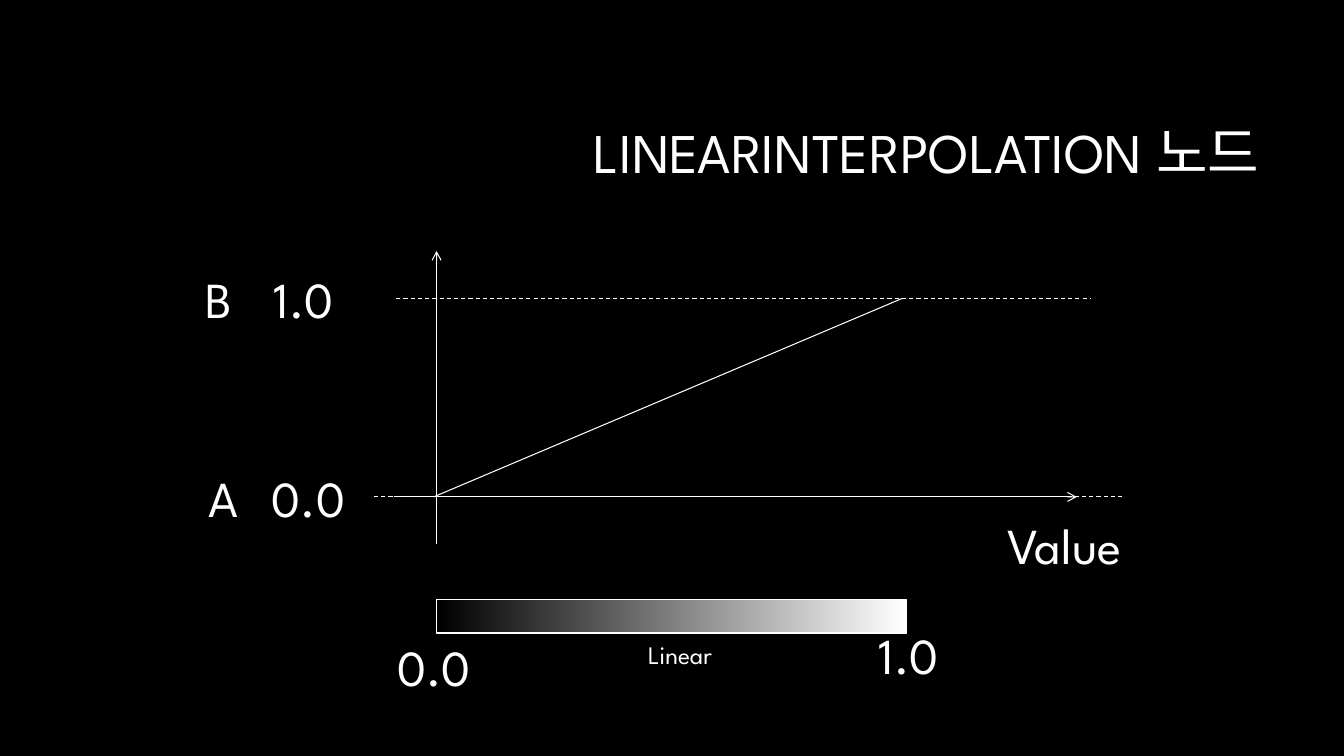
"""Build the slide that explains the linear interpolation node."""
from lxml.etree import SubElement
from pptx import Presentation
from pptx.dml.color import RGBColor
from pptx.enum.dml import MSO_LINE
from pptx.enum.shapes import MSO_CONNECTOR, MSO_SHAPE
from pptx.enum.text import MSO_ANCHOR, MSO_AUTO_SIZE, PP_ALIGN
from pptx.oxml.ns import qn
from pptx.util import Inches, Pt

WHITE, BLACK = "FFFFFF", "000000"
AXIS_X, ZERO_Y, ONE_Y = 4.33, 4.93, 2.96
ZERO_LABEL_Y, ONE_LABEL_Y = ZERO_Y - 0.35, ONE_Y - 0.35
LABEL_HEIGHT = 0.71


def color(value):
    return RGBColor.from_string(value)


def write(frame, text, size, align):
    frame.text = text
    para = frame.paragraphs[0]
    para.alignment = align
    para.font.name = "League Spartan"
    para.font.size = Pt(size)
    para.font.color.rgb = color(WHITE)
    return para


deck = Presentation()
deck.slide_width, deck.slide_height = Inches(13.33), Inches(7.5)
page = deck.slides.add_slide(deck.slide_layouts[5])
page.background.fill.solid()
page.background.fill.fore_color.rgb = color(BLACK)

title = page.shapes.title
title.left, title.top = Inches(3.17), Inches(0.84)
title.width, title.height = Inches(9.42), Inches(1.41)
title.text_frame.vertical_anchor = MSO_ANCHOR.MIDDLE
heading = write(title.text_frame, "LINEARINTERPOLATION 노드", 40, PP_ALIGN.RIGHT)
heading.line_spacing = 0.9

lines = [
    (3.91, ZERO_Y, 10.68, ZERO_Y, "arrow"),
    (AXIS_X, 5.4, AXIS_X, 2.49, "arrow"),
    (4.3, ZERO_Y, 8.95, ONE_Y, "plain"),
    (3.71, ZERO_Y, 11.16, ZERO_Y, "dash"),
    (3.93, ONE_Y, 10.81, ONE_Y, "dash"),
]
for *ends, style in lines:
    line = page.shapes.add_connector(MSO_CONNECTOR.STRAIGHT, *map(Inches, ends))
    line.line.color.rgb = color(WHITE)
    line.line.width = Pt(0.75)
    if style == "dash":
        line.line.dash_style = MSO_LINE.DASH
    if style == "arrow":
        SubElement(line.line._get_or_add_ln(), qn("a:tailEnd"), type="arrow")
    SubElement(line._element.spPr, qn("a:effectLst"))

ramp = page.shapes.add_shape(
    MSO_SHAPE.RECTANGLE, Inches(AXIS_X), Inches(5.95), Inches(4.66), Inches(0.33))
ramp.shadow.inherit = False
ramp.fill.gradient()
ramp.fill.gradient_angle = 180
for stop, shade in zip(ramp.fill.gradient_stops, (WHITE, BLACK)):
    stop.color.rgb = color(shade)
ramp.line.color.rgb = color(WHITE)
ramp.line.width = Pt(1)

labels = [
    ("A", 1.97, ZERO_LABEL_Y, 0.79, LABEL_HEIGHT, 36, PP_ALIGN.LEFT),
    ("B", 1.94, ONE_LABEL_Y, 0.79, LABEL_HEIGHT, 36, PP_ALIGN.LEFT),
    ("Value", 9.89, 5.05, 1.54, LABEL_HEIGHT, 36, PP_ALIGN.LEFT),
    ("0.0", 3.4, 6.26, 1.81, LABEL_HEIGHT, 36, PP_ALIGN.CENTER),
    ("1.0", 8.11, 6.14, 1.81, LABEL_HEIGHT, 36, PP_ALIGN.CENTER),
    ("Linear", 6.3, 6.29, 0.89, 0.4, 18, PP_ALIGN.CENTER),
    ("1.0", 2.11, ONE_LABEL_Y, 1.81, LABEL_HEIGHT, 36, PP_ALIGN.CENTER),
    ("0.0", 2.41, ZERO_LABEL_Y, 1.3, LABEL_HEIGHT, 36, PP_ALIGN.CENTER),
]
for text, left, top, width, height, size, align in labels:
    box = page.shapes.add_textbox(*map(Inches, (left, top, width, height)))
    box.text_frame.word_wrap = text != "Linear"
    box.text_frame.auto_size = MSO_AUTO_SIZE.SHAPE_TO_FIT_TEXT
    write(box.text_frame, text, size, align)

deck.save("out.pptx")
